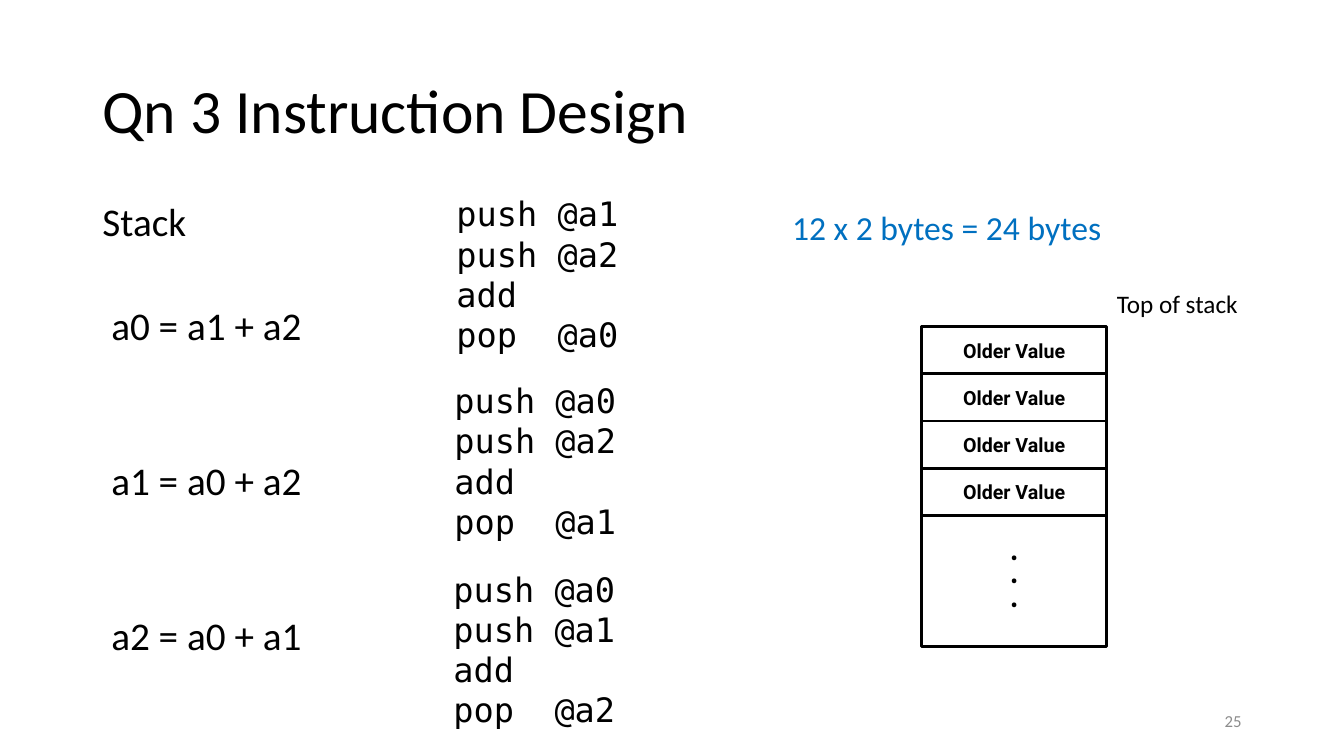
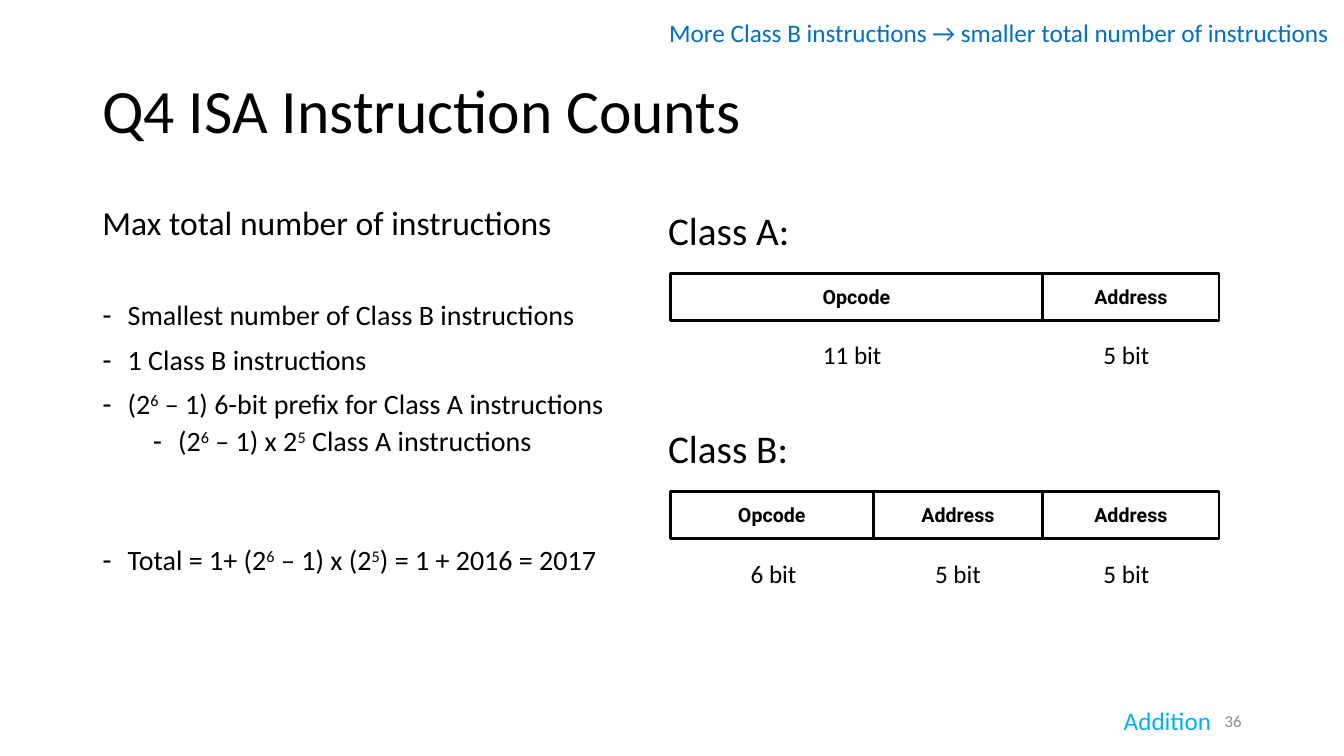
from lxml.etree import SubElement
from pptx import Presentation
from pptx.dml.color import RGBColor
from pptx.enum.shapes import MSO_SHAPE
from pptx.enum.text import MSO_ANCHOR, MSO_AUTO_SIZE, PP_ALIGN
from pptx.oxml.ns import qn
from pptx.util import Pt

BLACK, WHITE, GREY = "000000", "FFFFFF", "8C8C8C"
BLUE, CYAN = "0070C0", "00B0F0"
SANS, MONO, CELL = "Calibri", "DejaVu Sans Mono", "Roboto"


def rgb(value):
    return RGBColor.from_string(value)


def apply(obj, values):
    for name, value in values.items():
        setattr(obj, name, value)


def box(left, top, width, height):
    return [Pt(v) for v in (left, top, width, height)]


class Deck:
    """Holds the presentation, the shared style and the current slide."""

    def __init__(self):
        self.prs = Presentation()
        apply(self.prs, {"slide_width": Pt(960), "slide_height": Pt(540)})
        self.layout = self.prs.slide_layouts[1]
        self.slide = None

    def add_slide(self, title, number):
        self.slide = self.prs.slides.add_slide(self.layout)
        sp = self.slide.shapes.title
        self.place(sp, 66, 28.8, 828, 104.4)
        apply(sp.text_frame, {"vertical_anchor": MSO_ANCHOR.MIDDLE,
                              "auto_size": MSO_AUTO_SIZE.NONE})
        p = sp.text_frame.paragraphs[0]
        apply(p, {"alignment": PP_ALIGN.LEFT, "line_spacing": 0.9})
        self.run(p, title, 44)
        self.text([number], 678, 500.5, 216, 28.8, size=12, color=GREY,
                  align=PP_ALIGN.RIGHT, anchor=MSO_ANCHOR.MIDDLE)

    def place(self, sp, *bounds):
        apply(sp, dict(zip(("left", "top", "width", "height"), box(*bounds))))

    def run(self, p, text, size, font=SANS, color=BLACK, bold=False):
        r = p.add_run()
        r.text = text
        apply(r.font, {"name": font, "size": Pt(size), "bold": bold})
        r.font.color.rgb = rgb(color)
        return r

    def fill_text(self, tf, lines, align, **font):
        for i, line in enumerate(lines):
            p = tf.add_paragraph() if i else tf.paragraphs[0]
            p.alignment = align
            self.run(p, line, **font)

    def text(self, lines, left, top, width, height, size=18, font=SANS,
             color=BLACK, align=PP_ALIGN.LEFT, anchor=MSO_ANCHOR.TOP,
             wrap=True):
        sp = self.slide.shapes.add_textbox(*box(left, top, width, height))
        apply(sp.text_frame, {"word_wrap": wrap, "vertical_anchor": anchor})
        self.fill_text(sp.text_frame, lines, align,
                       size=size, font=font, color=color)

    def cell(self, lines, left, top, width, height):
        sp = self.slide.shapes.add_shape(
            MSO_SHAPE.RECTANGLE, *box(left, top, width, height))
        sp.shadow.inherit = False
        sp.fill.solid()
        sp.fill.fore_color.rgb = rgb(WHITE)
        sp.line.color.rgb = rgb(BLACK)
        sp.line.width = Pt(2)
        apply(sp.text_frame, {"word_wrap": False,
                              "vertical_anchor": MSO_ANCHOR.MIDDLE})
        self.fill_text(sp.text_frame, lines, PP_ALIGN.CENTER,
                       size=14, font=CELL, bold=True)

    def body(self, items, width, spacing, align=PP_ALIGN.LEFT):
        """Items: (text, size, space before, level, left margin, bullet).

        Text between two ^ signs is superscript.
        """
        sp = self.slide.placeholders[1]
        self.place(sp, 66, 144, width, 342.7)
        tf = sp.text_frame
        tf.auto_size = MSO_AUTO_SIZE.NONE
        for i, (text, size, before, level, margin, bullet) in enumerate(items):
            p = tf.add_paragraph() if i else tf.paragraphs[0]
            apply(p, {"alignment": align, "line_spacing": spacing,
                      "space_before": Pt(before), "level": level})
            pPr = p._p.get_or_add_pPr()
            pPr.set("marL", str(Pt(margin)))
            pPr.set("indent", str(Pt(-18 if bullet else 0)))
            if bullet:
                SubElement(pPr, qn("a:buChar")).set("char", bullet)
            else:
                SubElement(pPr, qn("a:buNone"))
            for j, part in enumerate(text.split("^")):
                r = self.run(p, part, size)
                if j % 2:
                    r.font._element.set("baseline", "30000")

    def instruction(self, name, top, fields):
        """Fields: (name, width, bit count, left of the bit count)."""
        self.text([name], 470.2, top, 247, 41, size=28)
        left = 478.8
        for field, width, bits, bits_left in fields:
            self.cell([field], left, top + 51.4, width, 33.5)
            self.text([bits], bits_left, top + 95.2, 74, 29,
                      align=PP_ALIGN.CENTER)
            left += width


def stack_slide(deck):
    deck.add_slide("Qn 3 Instruction Design", "25")
    deck.body([("Stack", 28, 10, 0, 0, None),
               ("a0 = a1 + a2", 28, 47, 0, 6.3, None),
               ("a1 = a0 + a2", 28, 84, 0, 6.3, None),
               ("a2 = a0 + a1", 28, 84, 0, 6.3, None)], 188, 0.8)

    left, top, width, height = 658.2, 233.3, 132.5, 33.7
    for i in range(4):
        deck.cell(["Older Value"], left, top + i * height, width, height)
    deck.cell(["•"] * 3, left, top + 4 * height, width, 93.6)
    deck.text(["Top of stack"], left + width, 202.3, 135, 29)

    programs = [("a1", "a2", "a0", 319, 134.6),
                ("a0", "a2", "a1", 317.5, 267.8),
                ("a0", "a1", "a2", 316.8, 402.5)]
    for first, second, result, left, top in programs:
        deck.text([f"push @{first}", f"push @{second}", "add",
                   f"pop  @{result}"], left, top, 200, 124,
                  size=24, font=MONO)
    deck.text(["12 x 2 bytes = 24 bytes"], 558.7, 144, 266, 36,
              size=24, color=BLUE)


def counts_slide(deck):
    deck.add_slide("Q4 ISA Instruction Counts", "36")
    address = ("Address", 126, "5 bit", 767.5)
    deck.instruction("Class A:", 143.8,
                     [("Opcode", 266, "11 bit", 571.7), address])
    deck.instruction("Class B:", 299.8,
                     [("Opcode", 145, "6 bit", 515.5),
                      ("Address", 121, "5 bit", 647.3), address])
    deck.body([
        ("Max total number of instructions", 24, 10, 0, 0, None),
        ("Smallest number of Class B instructions", 20, 42, 0, 18, "-"),
        ("1 Class B instructions", 20, 10, 0, 18, "-"),
        ("(2^6^ – 1) 6-bit prefix for Class A instructions",
         20, 10, 0, 18, "-"),
        ("(2^6^ – 1) x 2^5^ Class A instructions", 20, 5, 1, 54, "-"),
        ("Total = 1+ (2^6^ – 1) x (2^5^) = 1 + 2016 = 2017",
         20, 63.5, 0, 18, "-"),
    ], 396.7, 0.9, PP_ALIGN.JUSTIFY)
    deck.text(["More Class B instructions → smaller total number of "
               "instructions"], 470.9, 8.6, 489, 29, color=BLUE, wrap=False)
    deck.text(["Addition"], 795.6, 500.4, 78, 29, color=CYAN, wrap=False)


def main():
    deck = Deck()
    stack_slide(deck)
    counts_slide(deck)
    deck.prs.save("out.pptx")


if __name__ == "__main__":
    main()
